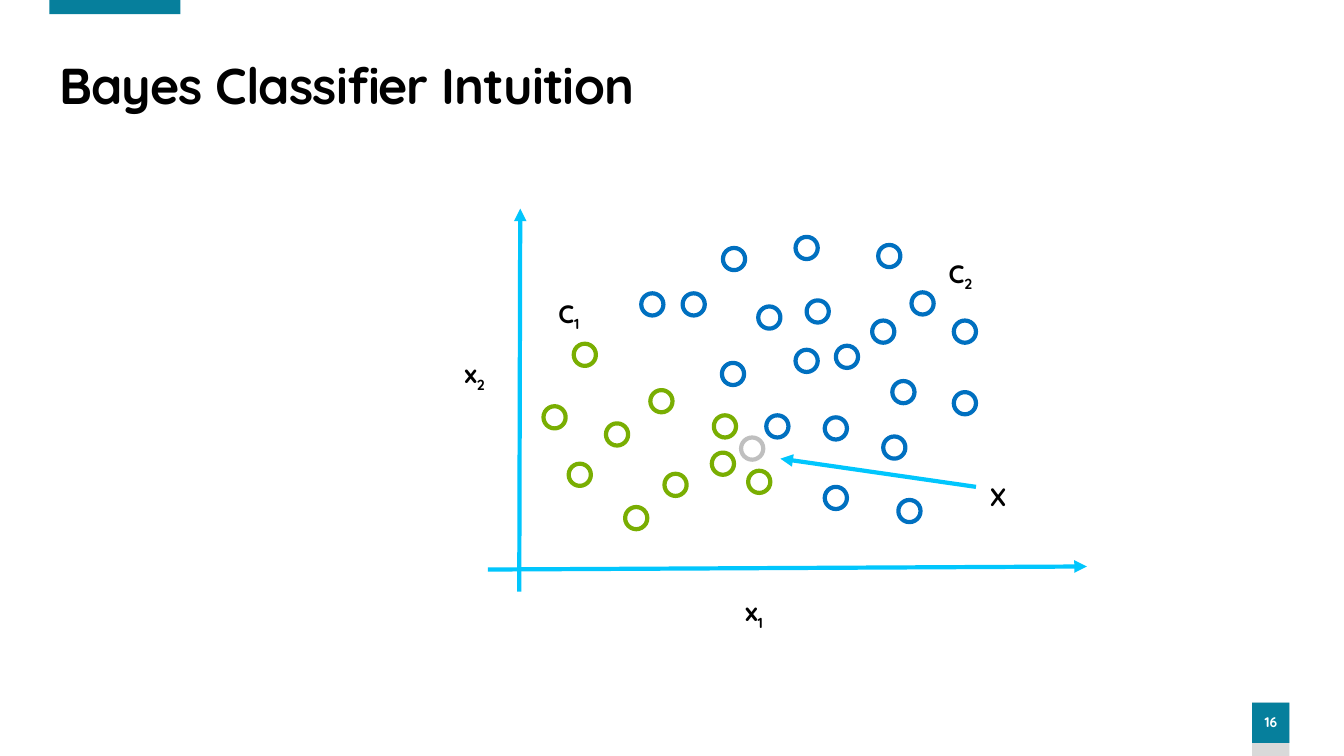
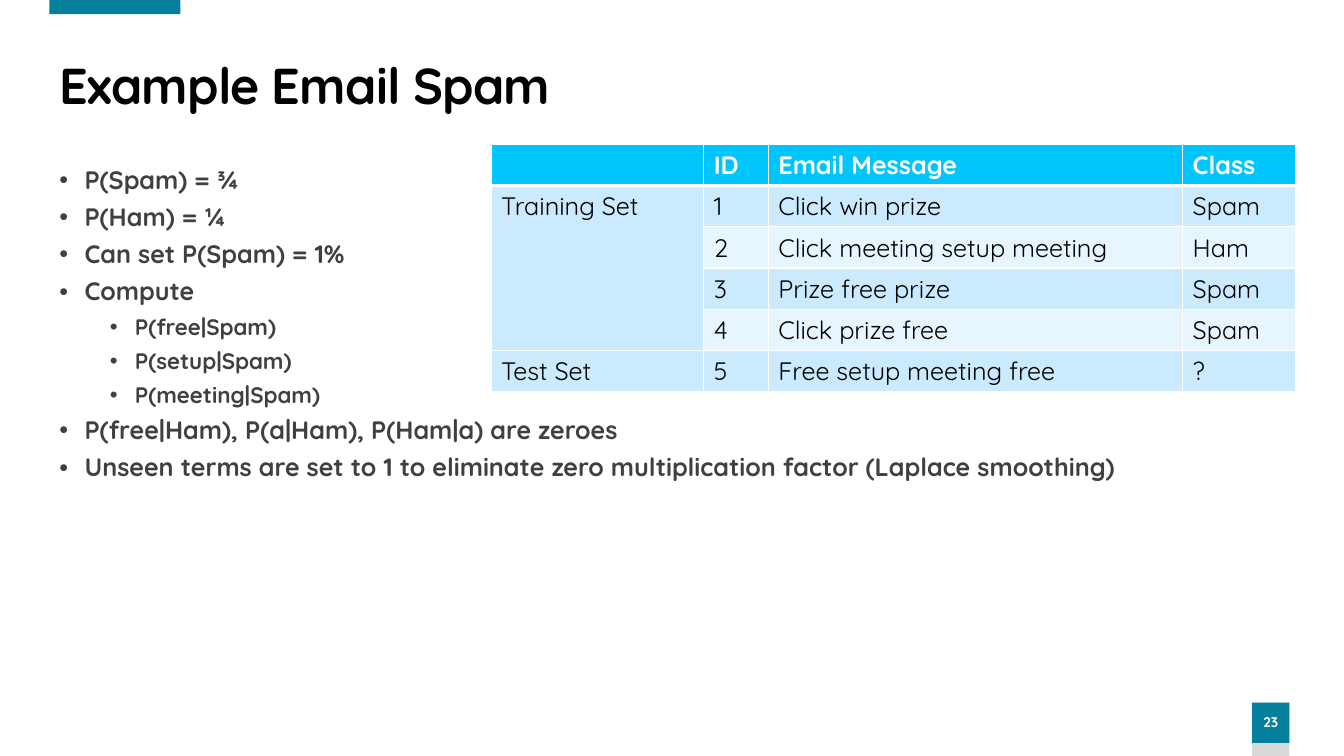
from dataclasses import dataclass

from lxml import etree
from pptx import Presentation
from pptx.dml.color import RGBColor
from pptx.enum.shapes import MSO_CONNECTOR, MSO_SHAPE
from pptx.enum.text import MSO_ANCHOR, PP_ALIGN
from pptx.oxml.ns import qn
from pptx.util import Inches, Pt

RECTANGLE, OVAL = MSO_SHAPE.RECTANGLE, MSO_SHAPE.OVAL
STRAIGHT = MSO_CONNECTOR.STRAIGHT
LEFT, CENTER = PP_ALIGN.LEFT, PP_ALIGN.CENTER
MIDDLE = MSO_ANCHOR.MIDDLE

FONT = "Quicksand"
TEAL, PALE_GRAY = "067F9C", "D9D9D9"
BLACK, WHITE, DARK_GRAY = "000000", "FFFFFF", "404040"
CYAN, GREEN, BLUE, SILVER = "01C6FD", "79AE02", "0070C0", "BFBFBF"
ROW_FILLS = ("E7F5FF", "CCEAFE")

POINT_SIZE = 0.22
ROW_HEIGHT = 0.41


@dataclass(frozen=True)
class Arrow:
    start: tuple[float, float]
    end: tuple[float, float]


@dataclass(frozen=True)
class Label:
    symbol: str
    subscript: str
    left: float
    top: float
    width: float = 0.65
    align: PP_ALIGN = LEFT


@dataclass(frozen=True)
class PointClass:
    color: str
    corners: tuple[tuple[float, float], ...]


@dataclass(frozen=True)
class Bullet:
    text: str
    level: int = 0


ARROWS = (
    Arrow((5.15, 5.87), (5.16, 2.07)),
    Arrow((4.84, 5.65), (10.78, 5.62)),
    Arrow((9.68, 4.83), (7.74, 4.55)),
)

LABELS = (
    Label("x", "2", 4.51, 3.51),
    Label("x", "1", 6.61, 5.87, 1.74, CENTER),
    Label("C", "2", 9.31, 2.51),
    Label("C", "1", 5.44, 2.91),
    Label("X", "", 9.72, 4.73),
)

POINT_CLASSES = (
    PointClass(GREEN, (
        (6.59, 4.7), (6.01, 4.2), (5.39, 4.03), (6.2, 5.03), (5.64, 4.6),
        (5.69, 3.41), (6.45, 3.87), (7.08, 4.12), (7.42, 4.67), (7.06, 4.49),
    )),
    PointClass(BLUE, (
        (7.17, 2.46), (7.89, 2.35), (8.71, 2.43), (6.77, 2.91), (8, 2.98),
        (8.29, 3.43), (8.65, 3.18), (8.85, 3.78), (7.89, 3.47), (8.18, 4.14),
        (9.46, 3.18), (8.76, 4.33), (9.46, 3.89), (7.52, 3.04), (9.04, 2.9),
        (8.91, 4.96), (7.6, 4.12), (8.18, 4.83), (6.36, 2.91), (7.16, 3.6),
    )),
    PointClass(SILVER, ((7.35, 4.34),)),
)

BULLETS = (
    Bullet("P(Spam) = ¾"),
    Bullet("P(Ham) = ¼"),
    Bullet("Can set P(Spam) = 1%"),
    Bullet("Compute"),
    Bullet("P(free|Spam)", 1),
    Bullet("P(setup|Spam)", 1),
    Bullet("P(meeting|Spam)", 1),
    Bullet("P(free|Ham), P(a|Ham), P(Ham|a) are zeroes"),
    Bullet("Unseen terms are set to 1 to eliminate zero multiplication factor (Laplace smoothing)"),
)

COLUMN_WIDTHS = (2.11, 0.64, 4.11, 1.12)
EMAIL_ROWS = (
    ("", "ID", "Email Message", "Class"),
    ("Training Set", "1", "Click win prize", "Spam"),
    ("", "2", "Click meeting setup meeting", "Ham"),
    ("", "3", "Prize free prize", "Spam"),
    ("", "4", "Click prize free", "Spam"),
    ("Test Set", "5", "Free setup meeting free", "?"),
)


def rgb(color: str) -> RGBColor:
    return RGBColor.from_string(color)


def add_run(paragraph, text: str, size: float, color: str, bold: bool = True):
    run = paragraph.add_run()
    run.text = text
    run.font.name = FONT
    run.font.size = Pt(size)
    run.font.bold = bold
    run.font.color.rgb = rgb(color)
    return run


def add_block(slide, left: float, top: float, width: float, height: float, color: str):
    block = slide.shapes.add_shape(
        RECTANGLE, Inches(left), Inches(top), Inches(width), Inches(height))
    block.shadow.inherit = False
    block.fill.solid()
    block.fill.fore_color.rgb = rgb(color)
    block.line.fill.background()
    return block


def add_text_frame(slide, left: float, top: float, width: float, height: float):
    box = slide.shapes.add_textbox(Inches(left), Inches(top), Inches(width), Inches(height))
    box.text_frame.word_wrap = True
    return box.text_frame


def add_titled_slide(deck, heading: str, number: int):
    slide = deck.slides.add_slide(deck.slide_layouts[5])
    add_block(slide, 12.42, 6.97, 0.37, 0.53, PALE_GRAY)
    badge = add_block(slide, 12.42, 6.97, 0.37, 0.4, TEAL).text_frame
    badge.margin_left = badge.margin_right = 0
    badge.vertical_anchor = MIDDLE
    badge.paragraphs[0].alignment = CENTER
    badge.paragraphs[0].line_spacing = 0.9
    add_run(badge.paragraphs[0], str(number), 10, WHITE)
    add_block(slide, 0.49, 0, 1.3, 0.14, TEAL)

    title = slide.shapes.title
    title.left, title.top = Inches(0.49), Inches(0.55)
    title.width, title.height = Inches(12.22), Inches(0.65)
    title.text_frame.vertical_anchor = MIDDLE
    paragraph = title.text_frame.paragraphs[0]
    paragraph.alignment = LEFT
    paragraph.line_spacing = 0.9
    run = add_run(paragraph, heading, 36, BLACK)
    run.font._element.set("spc", "-60")
    return slide


def add_arrow(slide, arrow: Arrow) -> None:
    connector = slide.shapes.add_connector(
        STRAIGHT, *(Inches(value) for value in arrow.start + arrow.end))
    connector.line.width = Pt(3)
    connector.line.color.rgb = rgb(CYAN)
    properties = connector._element.spPr
    etree.SubElement(properties.find(qn("a:ln")), qn("a:tailEnd"), type="triangle")
    etree.SubElement(properties, qn("a:effectLst"))


def add_label(slide, label: Label) -> None:
    paragraph = add_text_frame(slide, label.left, label.top, label.width, 0.4).paragraphs[0]
    paragraph.alignment = label.align
    add_run(paragraph, label.symbol, 18, BLACK)
    if label.subscript:
        subscript = add_run(paragraph, label.subscript, 18, BLACK)
        subscript.font._element.set("baseline", "-25000")


def add_points(slide, point_class: PointClass) -> None:
    for left, top in point_class.corners:
        point = slide.shapes.add_shape(
            OVAL, Inches(left), Inches(top), Inches(POINT_SIZE), Inches(POINT_SIZE))
        point.shadow.inherit = False
        point.fill.background()
        point.line.color.rgb = rgb(point_class.color)
        point.line.width = Pt(3)


def add_bullets(slide, bullets: tuple[Bullet, ...]) -> None:
    frame = add_text_frame(slide, 0.49, 1.6, 12.22, 5.22)
    for index, bullet in enumerate(bullets):
        paragraph = frame.add_paragraph() if index else frame.paragraphs[0]
        paragraph.level = bullet.level
        paragraph.line_spacing = 0.95
        paragraph.space_before = paragraph.space_after = Pt(3)
        properties = paragraph._p.get_or_add_pPr()
        properties.set("marL", str(Inches(0.25 + 0.5 * bullet.level)))
        properties.set("indent", str(Inches(-0.25)))
        etree.SubElement(properties, qn("a:buFont"), typeface="Arial")
        etree.SubElement(properties, qn("a:buChar"), char="•")
        add_run(paragraph, bullet.text, 18 - 2 * bullet.level, DARK_GRAY)


def set_borders(cell, bottom_width: float) -> None:
    properties = cell._tc.get_or_add_tcPr()
    for side, width in (("L", 1), ("R", 1), ("T", 1), ("B", bottom_width)):
        border = etree.SubElement(properties, qn(f"a:ln{side}"), w=str(Pt(width)))
        fill = etree.SubElement(border, qn("a:solidFill"))
        etree.SubElement(fill, qn("a:srgbClr"), val=WHITE)


def add_email_table(slide) -> None:
    table = slide.shapes.add_table(
        len(EMAIL_ROWS), len(COLUMN_WIDTHS), Inches(4.87), Inches(1.43),
        Inches(sum(COLUMN_WIDTHS)), Inches(ROW_HEIGHT * len(EMAIL_ROWS))).table
    for column, width in zip(table.columns, COLUMN_WIDTHS):
        column.width = Inches(width)
    for row_index, texts in enumerate(EMAIL_ROWS):
        is_header = row_index == 0
        table.rows[row_index].height = Inches(ROW_HEIGHT)
        for column_index, text in enumerate(texts):
            cell = table.cell(row_index, column_index)
            set_borders(cell, 3 if is_header else 1)
            cell.fill.solid()
            cell.fill.fore_color.rgb = rgb(CYAN if is_header else ROW_FILLS[row_index % 2])
            paragraph = cell.text_frame.paragraphs[0]
            paragraph.font.size = Pt(18)
            if text:
                add_run(paragraph, text, 18, WHITE if is_header else BLACK, is_header)
    table.cell(1, 0).merge(table.cell(4, 0))


def build_intuition_slide(deck) -> None:
    slide = add_titled_slide(deck, "Bayes Classifier Intuition", 16)
    for point_class in POINT_CLASSES:
        add_points(slide, point_class)
    for arrow in ARROWS:
        add_arrow(slide, arrow)
    for label in LABELS:
        add_label(slide, label)


def build_spam_slide(deck) -> None:
    slide = add_titled_slide(deck, "Example Email Spam", 23)
    add_bullets(slide, BULLETS)
    add_email_table(slide)


def main() -> None:
    deck = Presentation()
    deck.slide_width, deck.slide_height = Inches(13.33), Inches(7.5)
    build_intuition_slide(deck)
    build_spam_slide(deck)
    deck.save("out.pptx")


if __name__ == "__main__":
    main()
